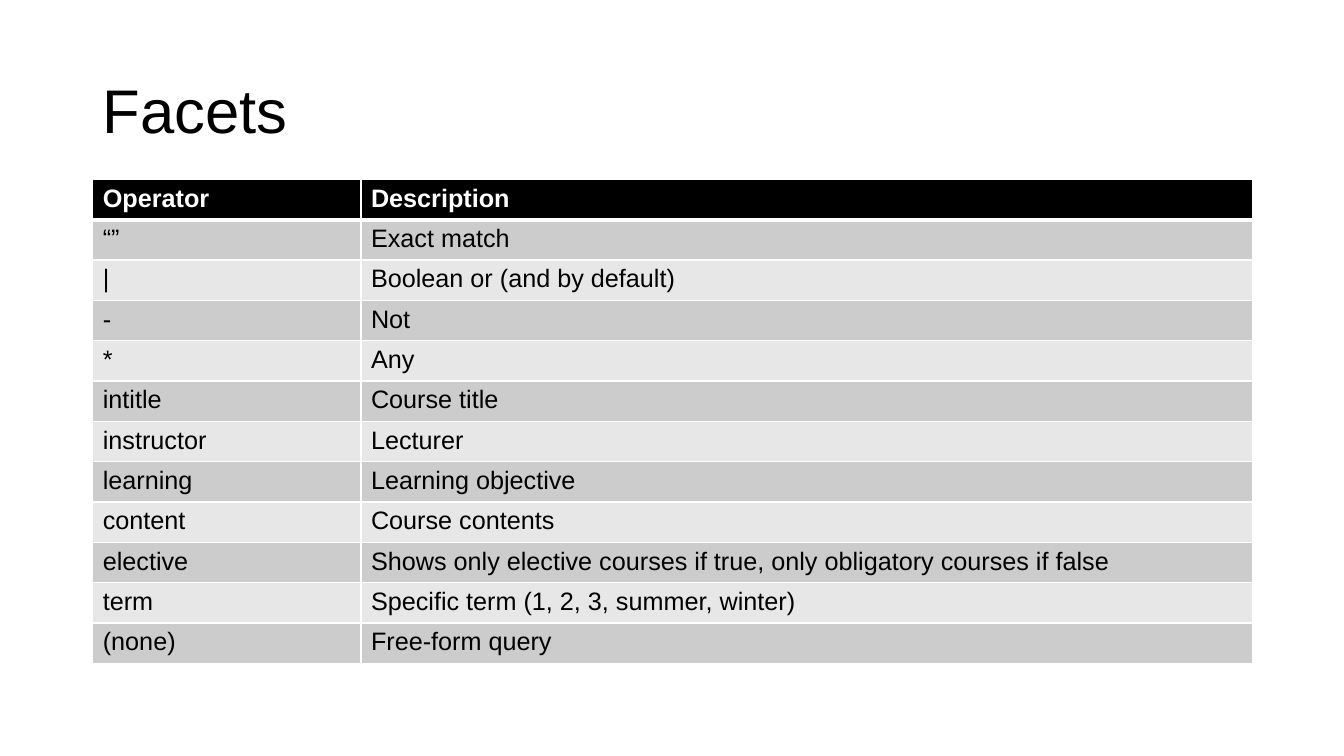
import pptx
import pptx.dml.color
import pptx.enum.text
import pptx.oxml.ns
import pptx.util
from lxml import etree

Inches = pptx.util.Inches
Pt = pptx.util.Pt
RGBColor = pptx.dml.color.RGBColor

BLACK = RGBColor(0x00, 0x00, 0x00)
WHITE = RGBColor(0xFF, 0xFF, 0xFF)
DARK_BAND = RGBColor(0xCC, 0xCC, 0xCC)
LIGHT_BAND = RGBColor(0xE7, 0xE7, 0xE7)

FONT = "Arial"
TITLE_ONLY = 5
MARGIN = 0.92
COLUMN_WIDTHS = (2.66, 8.84)
ROW_HEIGHT = 0.4
THIN, THICK = 1, 3

FACETS = [
    ("Operator", "Description"),
    ("“”", "Exact match"),
    ("|", "Boolean or (and by default)"),
    ("-", "Not"),
    ("*", "Any"),
    ("intitle", "Course title"),
    ("instructor", "Lecturer"),
    ("learning", "Learning objective"),
    ("content", "Course contents"),
    ("elective", "Shows only elective courses if true, only obligatory courses if false"),
    ("term", "Specific term (1, 2, 3, summer, winter)"),
    ("(none)", "Free-form query"),
]


def format_text(text_frame, size, color, bold=False):
    for para in text_frame.paragraphs:
        for span in para.runs:
            span.font.name = FONT
            span.font.size = Pt(size)
            span.font.bold = bold
            span.font.color.rgb = color


def set_borders(cell, top, bottom):
    """Draw white cell borders; top and bottom are widths in points."""
    qn = pptx.oxml.ns.qn
    properties = cell._tc.get_or_add_tcPr()
    for side, width in (("L", THIN), ("R", THIN), ("T", top), ("B", bottom)):
        line = etree.SubElement(properties, qn(f"a:ln{side}"), w=str(Pt(width)))
        fill = etree.SubElement(line, qn("a:solidFill"))
        etree.SubElement(fill, qn("a:srgbClr"), val=str(WHITE))


def add_title(page, left, top, width, height):
    title = page.shapes.title
    title.left, title.top = Inches(left), Inches(top)
    title.width, title.height = Inches(width), Inches(height)
    frame = title.text_frame
    frame.text = "Facets"
    frame.vertical_anchor = pptx.enum.text.MSO_ANCHOR.MIDDLE
    frame.paragraphs[0].alignment = pptx.enum.text.PP_ALIGN.LEFT
    frame.paragraphs[0].line_spacing = 0.9
    format_text(frame, 44, BLACK)


def add_facet_table(page, left, top):
    table = page.shapes.add_table(
        len(FACETS), len(COLUMN_WIDTHS), Inches(left), Inches(top),
        Inches(sum(COLUMN_WIDTHS)), Inches(ROW_HEIGHT * len(FACETS))).table
    for column, width in zip(table.columns, COLUMN_WIDTHS):
        column.width = Inches(width)

    for index, texts in enumerate(FACETS):
        # Header row is black, the rows below alternate between two greys
        header = index == 0
        band = BLACK if header else DARK_BAND if index % 2 else LIGHT_BAND
        for cell, text in zip(table.rows[index].cells, texts):
            cell.text_frame.text = text
            format_text(cell.text_frame, 18, WHITE if header else BLACK, header)
            set_borders(cell, THICK if index == 1 else THIN, THICK if header else THIN)
            cell.fill.solid()
            cell.fill.fore_color.rgb = band


def main():
    deck = pptx.Presentation()
    deck.slide_width, deck.slide_height = Inches(13.33), Inches(7.5)
    page = deck.slides.add_slide(deck.slide_layouts[TITLE_ONLY])
    add_title(page, MARGIN, 0.4, sum(COLUMN_WIDTHS), 1.45)
    add_facet_table(page, MARGIN, 1.78)
    deck.save("out.pptx")


if __name__ == "__main__":
    main()
